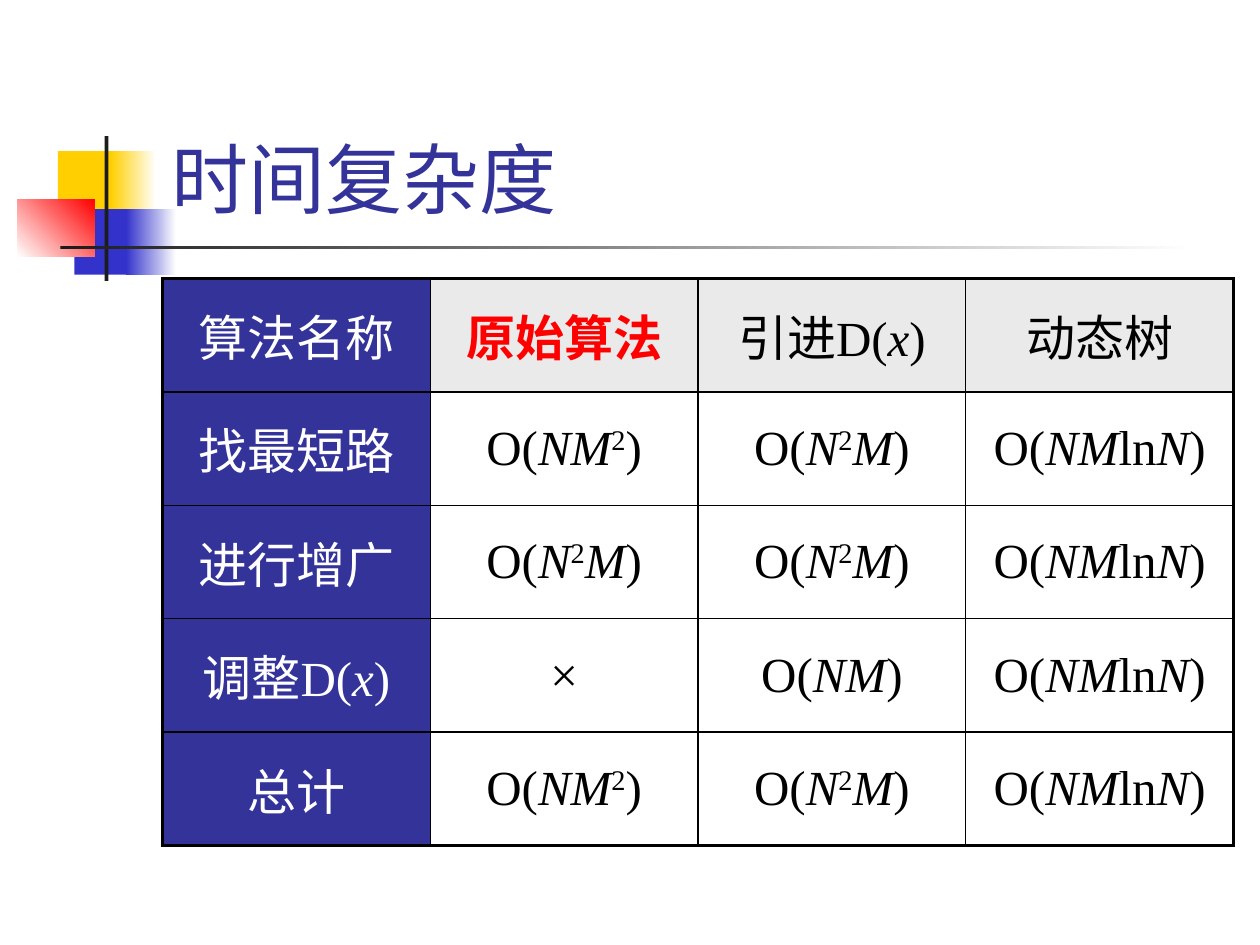
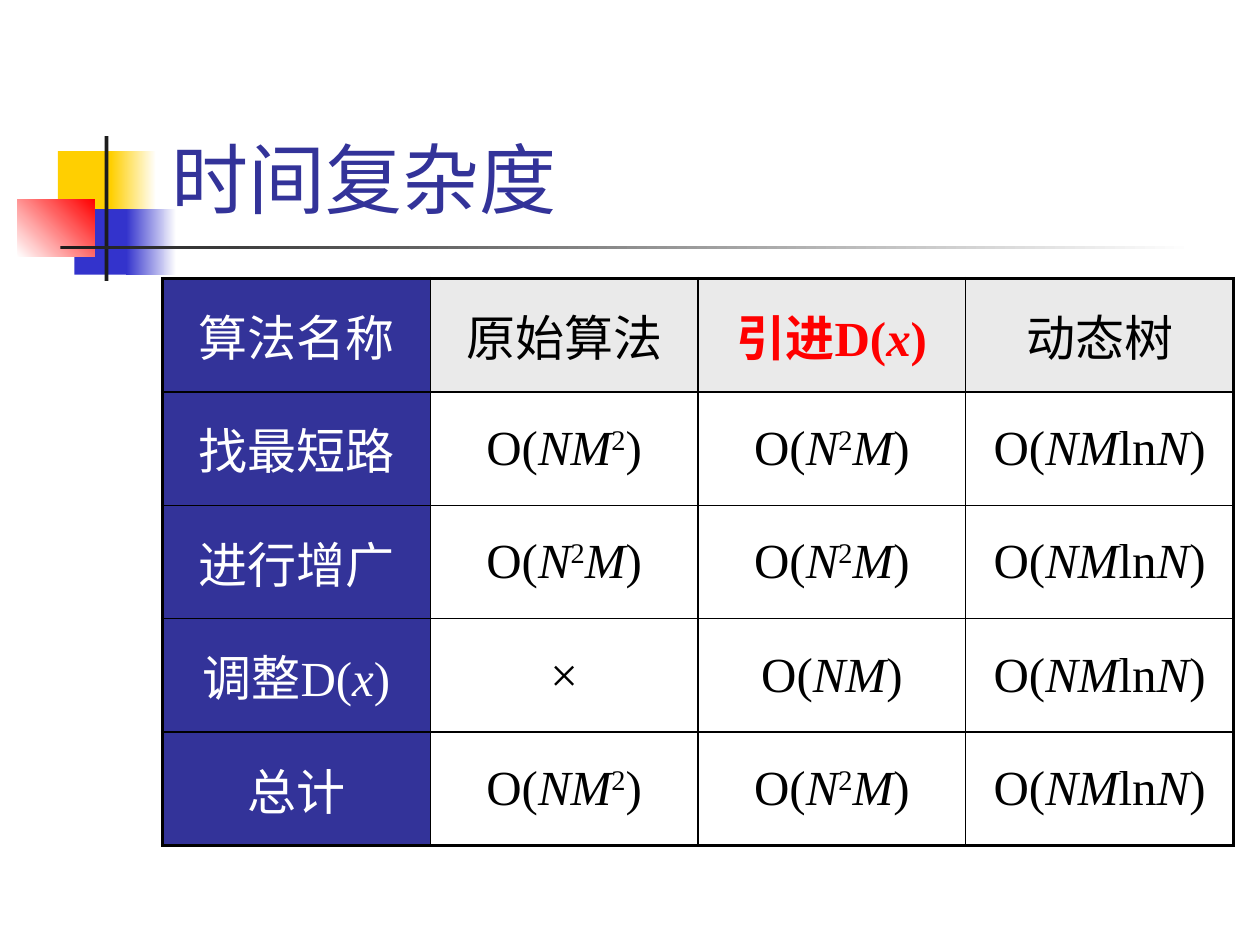
import itertools
import pptx
import pptx.dml.color
import pptx.enum.shapes
import pptx.enum.text
import pptx.oxml
import pptx.util
from lxml import etree

Pt = pptx.util.Pt
FONT = "Times New Roman"
INK = {"navy": "333399", "blue": "3333CC", "gold": "FFCF01", "red": "FF0000",
       "dark": "1C1C1C", "gray": "EAEAEA", "white": "FFFFFF", "black": "000000"}

# Regions: left, top, width, height in percent of the slide
MOTIF = (1.4, 14.4, 93.4, 15.33)
TITLE = (12.6, 3.07, 85.2, 21.33)
GRID = (12.9, 29.47, 85, 60)

# Motif parts: percent of the motif box, first colour, last colour, angle
PARTS = [
    ((3.43, 10.43, 5.14, 45.22), "gold", "gold", 0),
    ((7.92, 10.43, 3.85, 45.22), "gold", "white", 0),
    ((4.82, 50.43, 4.93, 45.22), "blue", "blue", 0),
    ((9.21, 50.43, 4.28, 45.22), "blue", "white", 0),
    ((0, 43.48, 6.53, 40), "white", "red", 45),
    ((7.39, 0, 0.32, 100), "dark", "dark", 0),
    ((3.64, 75.65, 96.36, 2.61), "dark", "white", 0),
]

ROWS = [
    ["算法名称", "原始算法", "引进D(x)", "动态树"],
    ["找最短路", "O(NM2)", "O(N2M)", "O(NMlnN)"],
    ["进行增广", "O(N2M)", "O(N2M)", "O(NMlnN)"],
    ["调整D(x)", "×", "O(NM)", "O(NMlnN)"],
    ["总计", "O(NM2)", "O(N2M)", "O(NMlnN)"],
]


def rgb(name):
    return pptx.dml.color.RGBColor.from_string(INK[name])


def within(box, part):
    """Turn percentages of a box into left, top, width, height."""
    x, y, w, h = box
    px, py, pw, ph = part
    return [round(v) for v in (x + w * px / 100, y + h * py / 100,
                               w * pw / 100, h * ph / 100)]


def add_run(para, text, size, ink, bold=False):
    run = para.add_run()
    run.text = text
    font = run.font
    font.name, font.size, font.bold = FONT, Pt(size), bold
    font.color.rgb = rgb(ink)
    return run


def add_motif(slide, layout, box):
    """Draw the coloured squares and rules, then hand them to the layout."""
    for spot, (part, first, last, angle) in enumerate(PARTS, 2):
        shape = slide.shapes.add_shape(
            pptx.enum.shapes.MSO_SHAPE.RECTANGLE, *within(box, part))
        shape.shadow.inherit = False
        shape.line.fill.background()
        if first == last:
            shape.fill.solid()
            shape.fill.fore_color.rgb = rgb(first)
        else:
            shape.fill.gradient()
            shape.fill.gradient_angle = angle
            for stop, ink in zip(shape.fill.gradient_stops, (first, last)):
                stop.color.rgb = rgb(ink)
        layout.shapes._spTree.insert(spot, shape._element)


def add_title(slide, box, text):
    title = slide.shapes.title
    title.left, title.top, title.width, title.height = box
    frame = title.text_frame
    frame.auto_size = pptx.enum.text.MSO_AUTO_SIZE.NONE
    frame.vertical_anchor = pptx.enum.text.MSO_ANCHOR.BOTTOM
    para = frame.paragraphs[0]
    para.alignment = pptx.enum.text.PP_ALIGN.LEFT
    add_run(para, text, 44, "navy")


def add_edges(cell, row, col):
    """Thick lines on the rim of the table, thin lines inside."""
    rim = {"L": col == 0, "R": col == len(ROWS[0]) - 1,
           "T": row == 0, "B": row == len(ROWS) - 1}
    props = cell._tc.get_or_add_tcPr()
    for side, thick in rim.items():
        line = etree.SubElement(props, pptx.oxml.ns.qn("a:ln" + side),
                                w=str(Pt(2.25 if thick else 1)))
        fill = etree.SubElement(line, pptx.oxml.ns.qn("a:solidFill"))
        etree.SubElement(fill, pptx.oxml.ns.qn("a:srgbClr"), val=INK["black"])


def char_kind(char):
    """Variables are italic and digits are raised."""
    return "var" if char in "NMx" else "power" if char.isdigit() else "plain"


def fill_cell(cell, text, ink, back, bold):
    if back:
        cell.fill.solid()
        cell.fill.fore_color.rgb = rgb(back)
    else:
        cell.fill.background()
    cell.vertical_anchor = pptx.enum.text.MSO_ANCHOR.MIDDLE
    para = cell.text_frame.paragraphs[0]
    para.alignment = pptx.enum.text.PP_ALIGN.CENTER
    para.space_before = Pt(5.6)
    for kind, chars in itertools.groupby(text, char_kind):
        run = add_run(para, "".join(chars), 28, ink, bold)
        run.font.italic = kind == "var"
        if kind == "power":
            run._r.get_or_add_rPr().set("baseline", "30000")


def add_grid(slide, box, focus):
    """Cost table whose focus column has a red heading."""
    table = slide.shapes.add_table(len(ROWS), len(ROWS[0]), *box).table
    table.first_row = table.horz_banding = False
    for line in table.rows:
        line.height = box[3] // len(ROWS)
    for row, texts in enumerate(ROWS):
        for col, text in enumerate(texts):
            cell = table.cell(row, col)
            hot = row == 0 and col == focus
            ink = "white" if col == 0 else "red" if hot else "black"
            back = "navy" if col == 0 else "gray" if row == 0 else None
            add_edges(cell, row, col)
            fill_cell(cell, text, ink, back, hot)


def main():
    deck = pptx.Presentation()
    deck.slide_width = pptx.util.Inches(10)
    deck.slide_height = pptx.util.Inches(7.5)
    page = (0, 0, deck.slide_width, deck.slide_height)
    layout = deck.slide_layouts[5]
    for focus in (1, 2):
        slide = deck.slides.add_slide(layout)
        if focus == 1:
            add_motif(slide, layout, within(page, MOTIF))
        add_title(slide, within(page, TITLE), "时间复杂度")
        add_grid(slide, within(page, GRID), focus)
    deck.save("out.pptx")


if __name__ == "__main__":
    main()
